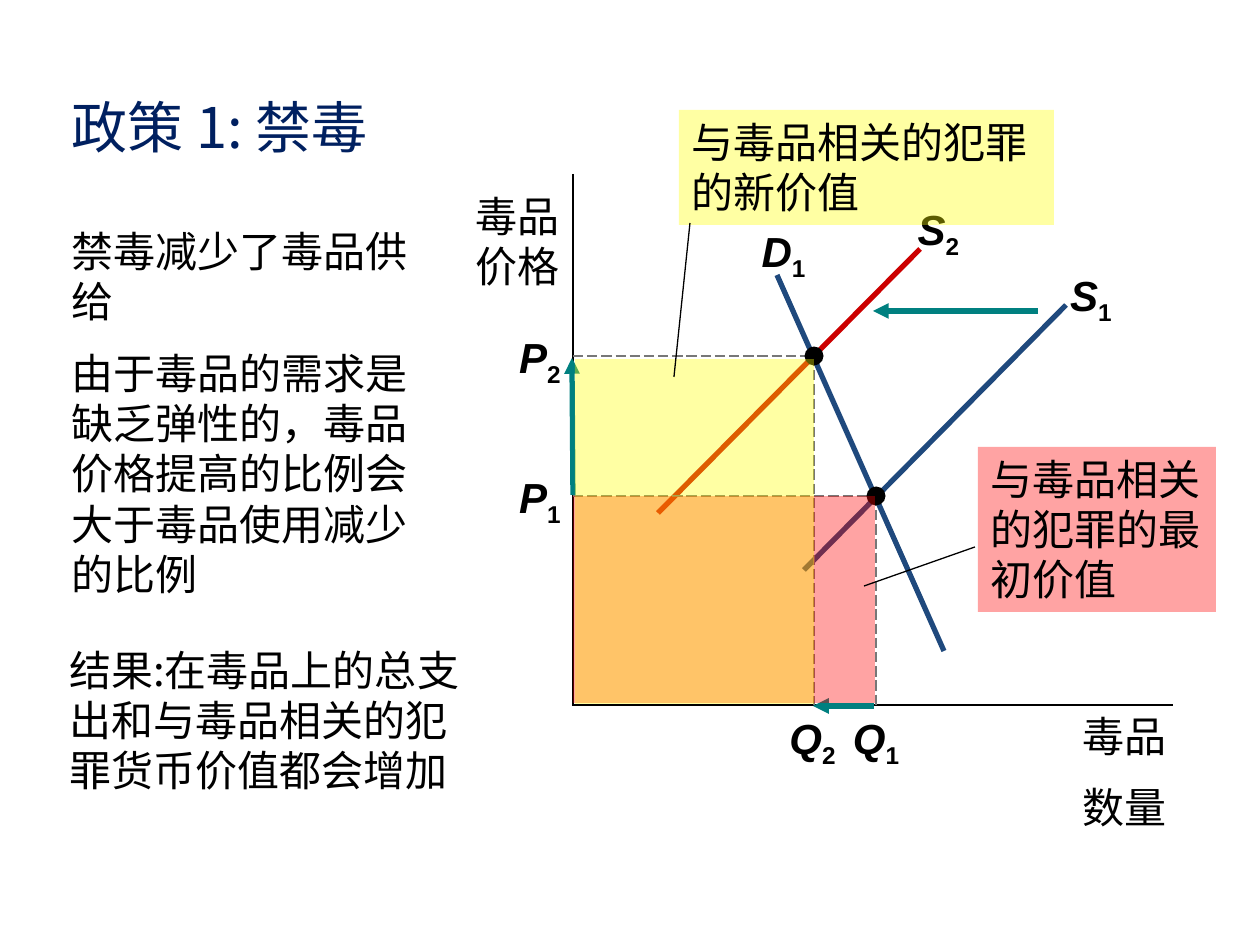
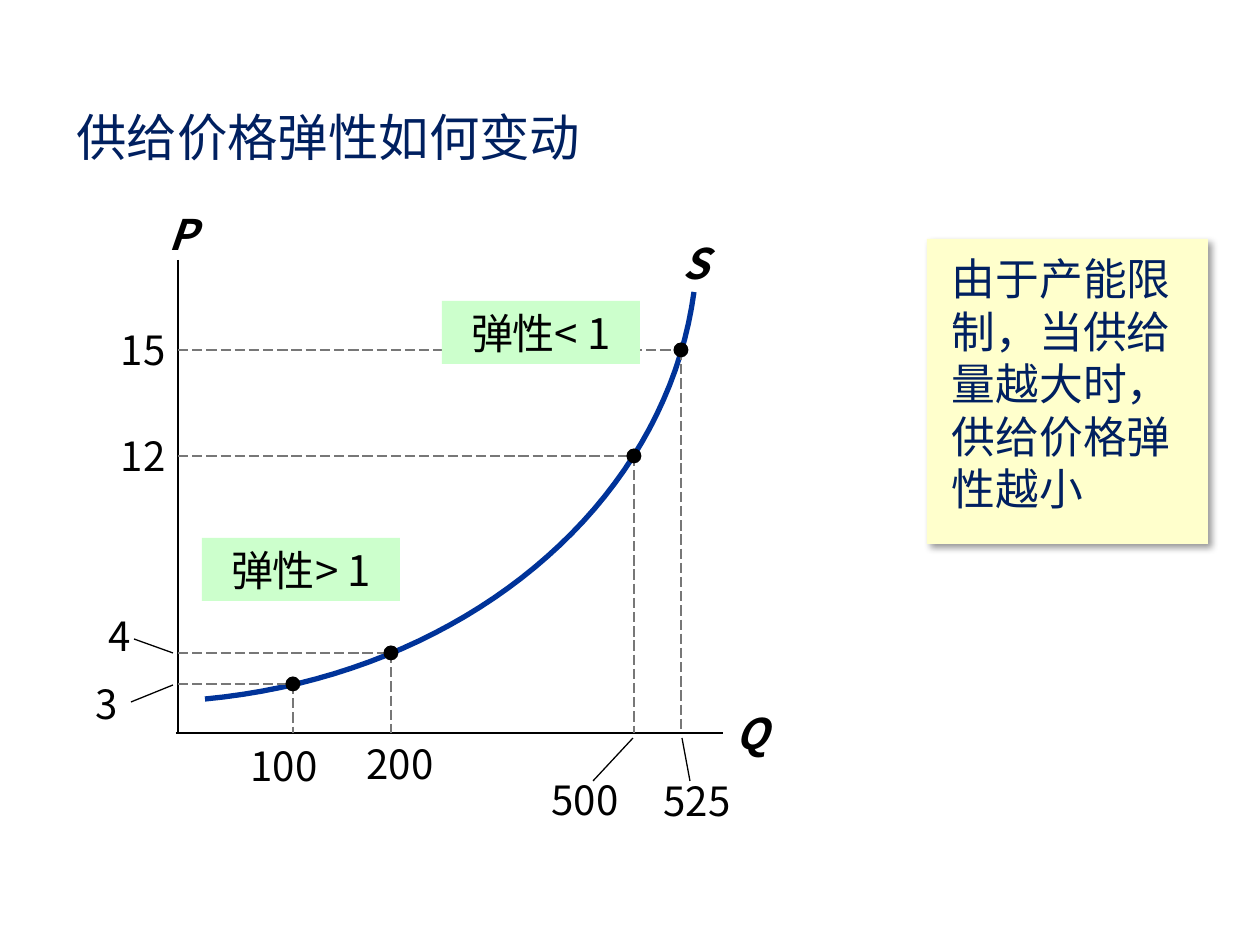
from dataclasses import dataclass
from lxml import etree
from pptx import Presentation
from pptx.dml.color import RGBColor
from pptx.enum.dml import MSO_LINE
from pptx.enum.shapes import MSO_CONNECTOR, MSO_SHAPE
from pptx.enum.text import MSO_ANCHOR, PP_ALIGN
from pptx.oxml.ns import qn
from pptx.util import Emu, Pt


@dataclass(frozen=True)
class Theme:
    cjk_font: str = "Noto Sans CJK SC"
    latin_font: str = "Arial"
    black: str = "000000"
    navy: str = "002060"
    blue: str = "1F497D"
    supply_blue: str = "003399"
    red: str = "CC0000"
    teal: str = "008080"
    gray: str = "777777"
    pure_red: str = "FF0000"
    yellow: str = "FFFF00"
    cream: str = "FFFFCC"
    mint: str = "CCFFCC"
    title_size: float = 32
    small_title_size: float = 28.8
    note_size: float = 25
    body_size: float = 24
    tick_size: float = 23
    line_factor: float = 1.2
    curve_width: float = 3
    axis_width: float = 1
    thin_width: float = 0.75
    area_opacity: int = 36


THEME = Theme()
EMU_PER_PX = 914400 / 126
SLIDE_SIZE = (1260, 945)
LEFT, CENTER, RIGHT = PP_ALIGN.LEFT, PP_ALIGN.CENTER, PP_ALIGN.RIGHT

BAN = {
    "title": ("政策 1: 禁毒", (59, 82, 1134, 89)),
    "origin": (573, 705),
    "axes": [(573, 174, 573, 705), (572, 705, 1173, 705)],
    "axis_names": [
        (["毒品价格"], (462, 184, 111, 115)),
        (["毒品", "数量"], (1060, 704, 129, 140)),
    ],
    "curves": [
        ((777, 275, 944, 651), THEME.blue),
        ((804, 570, 1066, 305), THEME.blue),
        ((658, 513, 920, 249), THEME.red),
    ],
    "labels": [
        ("D", "1", 738, 219, 91, CENTER),
        ("S", "1", 1052, 263, 78, CENTER),
        ("S", "2", 893, 197, 91, CENTER),
        ("P", "1", 489, 465, 84, RIGHT),
        ("Q", "1", 838, 706, 76, CENTER),
        ("P", "2", 491, 325, 82, RIGHT),
        ("Q", "2", 772, 706, 81, CENTER),
    ],
    "equilibria": [(876, 496), (814, 356)],
    "arrows": [(1038, 311, 873, 311), (874, 706, 813, 706), (573, 495, 572, 358)],
    "texts": [
        (["禁毒减少了毒品供给",
          "由于毒品的需求是缺乏弹性的，毒品价格提高的比例会大于毒品使用减少的比例"],
         (59, 219, 393, 394)),
        (["结果:在毒品上的总支出和与毒品相关的犯罪货币价值都会增加"],
         (57, 638, 427, 165)),
    ],
    "crime_values": [
        (THEME.pure_red, (573, 496, 302, 207), "与毒品相关的犯罪的最初价值",
         (978, 447, 238, 165), (864, 586, 975, 547)),
        (THEME.yellow, (575, 359, 239, 345), "与毒品相关的犯罪的新价值",
         (679, 110, 375, 115), (690, 223, 674, 377)),
    ],
}

ELASTICITY = {
    "title": ("供给价格弹性如何变动", (64, 102, 641, 68)),
    "note": ("由于产能限制，当供给量越大时，供给价格弹性越小", (927, 239, 281, 305)),
    "origin": (178, 733),
    "axes": [(178, 260, 178, 733), (176, 733, 723, 733)],
    "supply": [(694, 292), (665, 507), (462, 675), (205, 699)],
    "letters": [("S", 654, 231, 84), ("P", 139, 202, 87), ("Q", 711, 701, 81)],
    "points": [
        ((681, 350), ("15", 178, 319), ("525", 697, 770), (690, 781, 682, 738)),
        ((634, 456), ("12", 178, 425), ("500", 585, 769), (593, 781, 633, 738)),
        ((293, 684), ("3", 130, 673), ("100", 284, 735), (131, 702, 173, 685)),
        ((391, 653), ("4", 143, 605), ("200", 400, 733), (134, 639, 173, 653)),
    ],
    "ranges": [("弹性> 1", (202, 538, 198, 63)), ("弹性< 1", (442, 301, 198, 63))],
}


def px(value):
    return Emu(round(value * EMU_PER_PX))


def color(value):
    return RGBColor.from_string(value)


def style_run(run, size, text_color, font_name, bold_italic=False):
    font = run.font
    font.size = Pt(size)
    font.name = font_name
    font.color.rgb = color(text_color)
    if bold_italic:
        font.bold = font.italic = True
    east_asian = etree.Element(qn("a:ea"), typeface=THEME.cjk_font)
    run._r.rPr.find(qn("a:latin")).addnext(east_asian)


def write(shape, lines, size=THEME.body_size, text_color=THEME.black,
          align=LEFT, anchor=MSO_ANCHOR.TOP, bold_italic=False):
    frame = shape.text_frame
    frame.word_wrap = True
    frame.vertical_anchor = anchor
    frame.text = "\n".join(lines)
    for index, paragraph in enumerate(frame.paragraphs):
        paragraph.alignment = align
        paragraph.line_spacing = Pt(size * THEME.line_factor)
        if index:
            paragraph.space_before = Pt(size / 2)
        for run in paragraph.runs:
            style_run(run, size, text_color, THEME.cjk_font, bold_italic)


def add_text(slide, lines, box, **options):
    write(slide.shapes.add_textbox(*map(px, box)), lines, **options)


def add_title(slide, title, size):
    text, box = title
    add_text(slide, [text], box, size=size, text_color=THEME.navy,
             anchor=MSO_ANCHOR.MIDDLE)


def add_label(slide, letter, subscript, left, top, width, align):
    frame = slide.shapes.add_textbox(*map(px, (left, top, width, 63))).text_frame
    frame.word_wrap = True
    paragraph = frame.paragraphs[0]
    paragraph.alignment = align
    for text in (letter, subscript):
        run = paragraph.add_run()
        run.text = text
        style_run(run, THEME.body_size, THEME.black, THEME.latin_font, True)
    run.font.italic = False
    run._r.rPr.set("baseline", "-25000")


def add_block(slide, box, fill, kind=MSO_SHAPE.RECTANGLE, opacity=100):
    shape = slide.shapes.add_shape(kind, *map(px, box))
    shape.shadow.inherit = False
    shape.line.fill.background()
    shape.fill.solid()
    shape.fill.fore_color.rgb = color(fill)
    if opacity < 100:
        fill_color = shape._element.spPr.find(qn("a:solidFill"))[0]
        etree.SubElement(fill_color, qn("a:alpha"), val=str(opacity * 1000))
    return shape


def add_line(slide, ends, line_color, width, dashed=False, arrow=False):
    connector = slide.shapes.add_connector(MSO_CONNECTOR.STRAIGHT, *map(px, ends))
    line = connector.line
    line.color.rgb = color(line_color)
    line.width = Pt(width)
    if dashed:
        line.dash_style = MSO_LINE.LONG_DASH
    if arrow:
        etree.SubElement(line._get_or_add_ln(), qn("a:tailEnd"), type="triangle")
    etree.SubElement(connector._element.spPr, qn("a:effectLst"))


def add_axes(slide, axes):
    for axis in axes:
        add_line(slide, axis, THEME.black, THEME.axis_width)


def add_point(slide, point, origin, diameter):
    x, y = point
    for guide in ((origin[0], y, x, y), (x, y, x, origin[1])):
        add_line(slide, guide, THEME.gray, THEME.thin_width, dashed=True)
    corner = (x - diameter / 2, y - diameter / 2)
    add_block(slide, (*corner, diameter, diameter), THEME.black, MSO_SHAPE.OVAL)


def add_supply_curve(slide, controls, steps=40):
    def at(t):
        weights = ((1 - t) ** 3, 3 * t * (1 - t) ** 2, 3 * t ** 2 * (1 - t), t ** 3)
        return tuple(sum(w * c for w, c in zip(weights, axis)) for axis in zip(*controls))

    vertices = [tuple(map(px, at(step / steps))) for step in range(steps + 1)]
    builder = slide.shapes.build_freeform(*vertices[0])
    builder.add_line_segments(vertices[1:], close=False)
    curve = builder.convert_to_shape()
    curve.shadow.inherit = False
    curve.fill.background()
    curve.line.color.rgb = color(THEME.supply_blue)
    curve.line.width = Pt(THEME.curve_width)


def add_note(slide, text, box):
    note = add_block(slide, box, THEME.cream)
    effects = note._element.spPr.find(qn("a:effectLst"))
    shadow = etree.SubElement(effects, qn("a:outerShdw"), blurRad=str(Pt(4)),
                              dist=str(Pt(3)), dir="2700000", algn="tl", rotWithShape="0")
    shadow_color = etree.SubElement(shadow, qn("a:srgbClr"), val=THEME.black)
    etree.SubElement(shadow_color, qn("a:alpha"), val="40000")
    frame = note.text_frame
    frame.margin_left = frame.margin_right = px(25)
    frame.margin_top = frame.margin_bottom = px(13)
    write(note, [text], size=THEME.note_size, text_color=THEME.navy)


def build_ban_slide(slide):
    curves = BAN["curves"]
    add_title(slide, BAN["title"], THEME.title_size)
    add_axes(slide, BAN["axes"])
    for lines, box in BAN["axis_names"]:
        add_text(slide, lines, box, align=CENTER)
    for ends, curve_color in curves:
        add_line(slide, ends, curve_color, THEME.curve_width)
    for label in BAN["labels"]:
        add_label(slide, *label)
    for point in BAN["equilibria"]:
        add_point(slide, point, BAN["origin"], 19)
    for ends in BAN["arrows"]:
        add_line(slide, ends, THEME.teal, THEME.curve_width, arrow=True)
    for lines, box in BAN["texts"]:
        add_text(slide, lines, box)
    for fill, area, text, callout, leader in BAN["crime_values"]:
        add_block(slide, area, fill, opacity=THEME.area_opacity)
        write(add_block(slide, callout, fill, opacity=THEME.area_opacity), [text])
        add_line(slide, leader, THEME.black, THEME.thin_width)


def build_elasticity_slide(slide):
    add_supply_curve(slide, ELASTICITY["supply"])
    add_title(slide, ELASTICITY["title"], THEME.small_title_size)
    add_note(slide, *ELASTICITY["note"])
    add_axes(slide, ELASTICITY["axes"])
    for letter, left, top, width in ELASTICITY["letters"]:
        add_text(slide, [letter], (left, top, width, 63), align=CENTER, bold_italic=True)
    for point, price, quantity, leader in ELASTICITY["points"]:
        add_point(slide, point, ELASTICITY["origin"], 15)
        text, right, top = price
        add_text(slide, [text], (right - 80, top, 80, 61), size=THEME.tick_size, align=RIGHT)
        text, middle, top = quantity
        add_text(slide, [text], (middle - 55, top, 110, 61), size=THEME.tick_size, align=CENTER)
        add_line(slide, leader, THEME.black, THEME.thin_width)
    for text, box in ELASTICITY["ranges"]:
        write(add_block(slide, box, THEME.mint), [text], align=CENTER,
              anchor=MSO_ANCHOR.MIDDLE)


def main():
    presentation = Presentation()
    presentation.slide_width, presentation.slide_height = map(px, SLIDE_SIZE)
    for build in (build_ban_slide, build_elasticity_slide):
        build(presentation.slides.add_slide(presentation.slide_layouts[6]))
    presentation.save("out.pptx")


if __name__ == "__main__":
    main()
